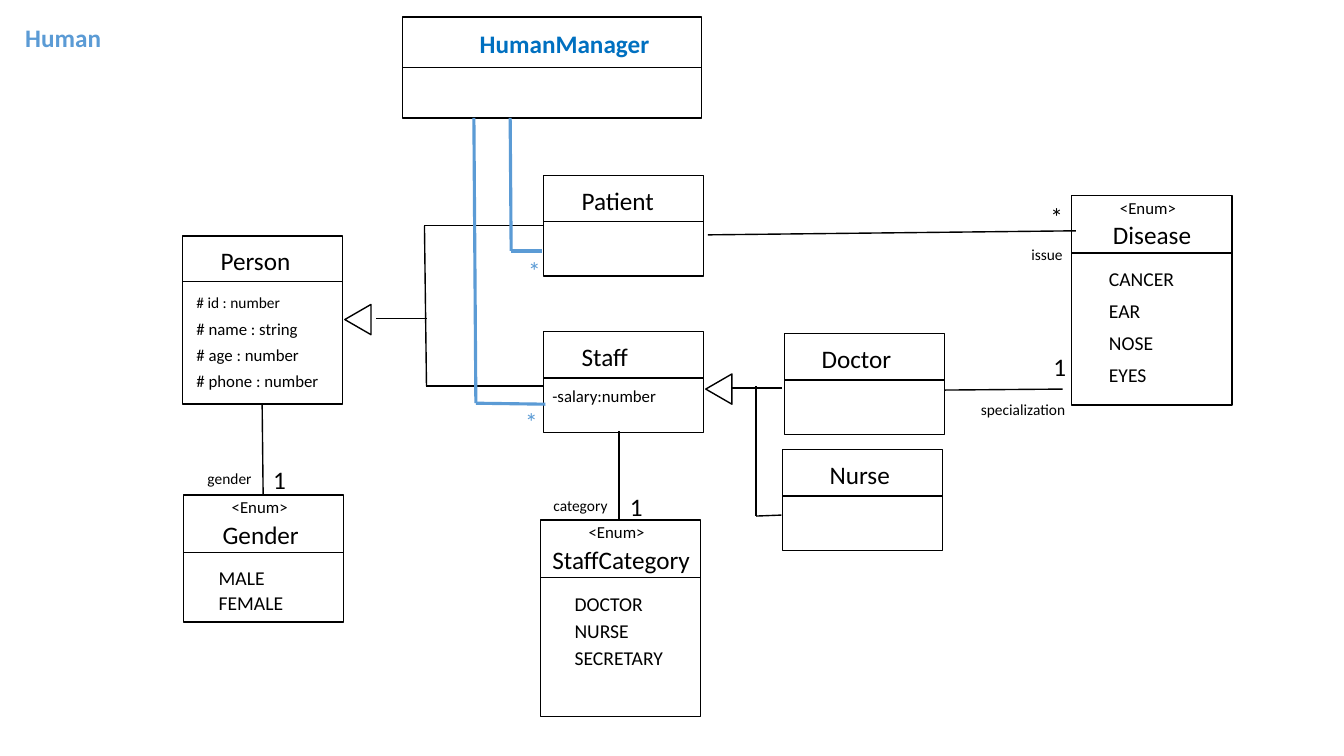
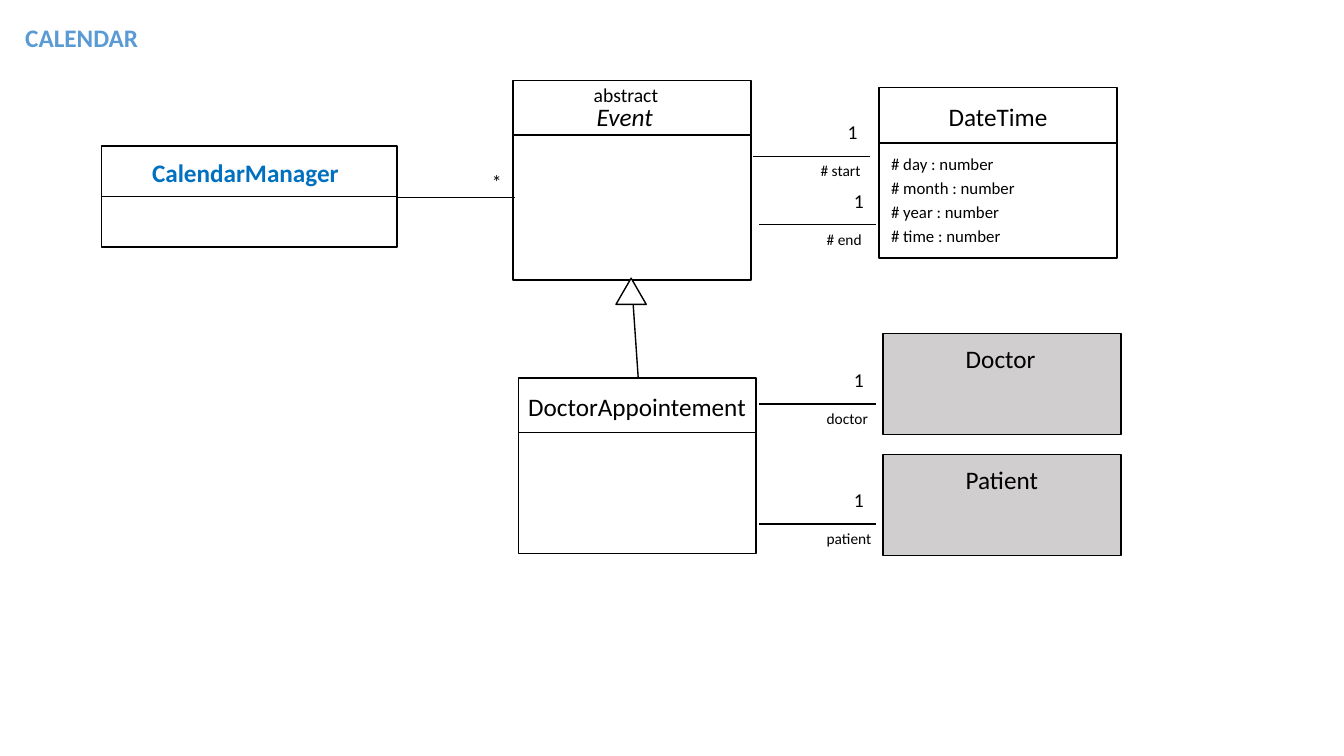
from dataclasses import dataclass
from itertools import pairwise

from lxml.etree import SubElement
from pptx import Presentation
from pptx.dml.color import RGBColor
from pptx.enum.shapes import MSO_CONNECTOR, MSO_SHAPE
from pptx.enum.text import MSO_ANCHOR, MSO_AUTO_SIZE, PP_ALIGN
from pptx.oxml.ns import qn
from pptx.util import Inches, Pt

FONT = "Calibri"
BLACK, WHITE, GREY = "000000", "FFFFFF", "D0CECE"
ACCENT, MANAGER = "5B9BD5", "0070C0"
LINE_HEIGHT = 1.22
NAME_SIZE = 18


@dataclass
class Members:
    rows: list
    left: float
    top: float
    width: float
    pitch: float = 0.26
    size: int = 12
    first_size: int = 0


@dataclass
class ClassBox:
    name: str
    box: tuple
    name_left: float
    name_width: float
    divider: float = 0.46
    stereotype: tuple = ()
    members: Members = None
    color: str = BLACK
    italic: bool = False
    external: bool = False


@dataclass
class Label:
    text: str
    left: float
    top: float
    width: float = 0.33
    size: int = NAME_SIZE
    color: str = BLACK


ENUM = ("<Enum>", 0.38, 0.76, 12)

HUMAN = {
    "title": ("Human", 0.96),
    "classes": [
        ClassBox("Person", (1.81, 2.34, 1.59, 1.67), 2.09, 0.9, 0.45, members=Members(
            ["# id : number", "# name : string", "# age : number", "# phone : number"],
            1.85, 2.86, 1.42, first_size=11)),
        ClassBox("Patient", (5.39, 1.74, 1.59, 1), 5.67, 0.93),
        ClassBox("Staff", (5.39, 3.29, 1.59, 1), 5.67, 0.67,
                 members=Members(["-salary:number"], 5.38, 3.78, 1.24)),
        ClassBox("Doctor", (7.78, 3.31, 1.59, 1), 8.05, 0.91),
        ClassBox("Nurse", (7.76, 4.46, 1.59, 1), 8.13, 0.81),
        ClassBox("Disease", (10.63, 1.94, 1.59, 2.08), 10.94, 0.99, 0.57, ENUM, Members(
            ["CANCER", "EAR", "NOSE", "EYES"], 10.9, 2.6, 0.86, 0.32, 14)),
        ClassBox("Gender", (1.82, 4.91, 1.59, 1.26), 2.11, 0.97, 0.57, ENUM, Members(
            ["MALE", "FEMALE"], 2.07, 5.57, 0.85, 0.25, 14)),
        ClassBox("StaffCategory", (5.36, 5.16, 1.59, 1.95), 5.38, 1.58, 0.57, ENUM, Members(
            ["DOCTOR", "NURSE", "SECRETARY"], 5.6, 5.82, 1.09, 0.27, 14)),
        ClassBox("HumanManager", (3.99, 0.17, 2.97, 1), 4.66, 1.9, 0.5, color=MANAGER),
    ],
    "links": [
        [(7.02, 2.33), (10.67, 2.29)],
        [(9.37, 3.87), (10.54, 3.86)],
        [(2.6, 4.02), (2.61, 4.91)],
        [(6.14, 4.28), (6.14, 5.16)],
        [(3.73, 3.16), (4.24, 3.16)],
        [(5.39, 2.24), (4.21, 2.24), (4.23, 3.83), (5.39, 3.83)],
        [(7.25, 3.85), (7.76, 3.85)],
        [(7.5, 3.83), (7.5, 5.12), (7.75, 5.11)],
    ],
    "manager_links": [
        [(5.06, 1.17), (5.07, 2.49), (5.38, 2.49)],
        [(4.7, 1.17), (4.72, 4), (5.41, 4.01)],
    ],
    "inheritance": [(3.4, 3.04, 270), (6.98, 3.73, 270)],
    "labels": [
        Label("*", 10.32, 1.95),
        Label("issue", 10.13, 2.38, 0.51, 11),
        Label("1", 10.35, 3.44),
        Label("specialization", 9.63, 3.92, 1.05, 11),
        Label("1", 2.61, 4.56),
        Label("gender", 1.96, 4.6, 0.64, 11),
        Label("1", 6.15, 4.82),
        Label("category", 5.39, 4.87, 0.75, 11),
        Label("*", 5.14, 2.48, color=ACCENT),
        Label("*", 5.11, 3.98, color=ACCENT),
    ],
    "roles": [],
}

CALENDAR = {
    "title": ("CALENDAR", 1.33),
    "classes": [
        ClassBox("Event", (5.09, 0.8, 2.36, 1.98), 5.82, 0.77, 0.54,
                 ("abstract", 0.7, 0.85, 14), italic=True),
        ClassBox("CalendarManager", (1.01, 1.45, 2.93, 1), 1.41, 2.07, 0.5, color=MANAGER),
        ClassBox("DateTime", (8.72, 0.87, 2.36, 1.69), 9.31, 1.19, 0.55, members=Members(
            ["# day : number", "# month : number", "# year : number", "# time : number"],
            8.74, 1.48, 1.44, 0.24)),
        ClassBox("DoctorAppointement", (5.14, 3.75, 2.36, 1.74), 5.14, 2.39, 0.54),
        ClassBox("Doctor", (8.76, 3.31, 2.36, 1), 9.48, 0.91, external=True),
        ClassBox("Patient", (8.76, 4.51, 2.36, 1), 9.48, 0.93, external=True),
    ],
    "links": [[(3.95, 1.96), (5.11, 1.96)], [(6.28, 3.02), (6.33, 3.75)]],
    "manager_links": [],
    "inheritance": [(6.11, 2.76, 0)],
    "labels": [Label("*", 4.78, 1.64, 0.3, 14)],
    "roles": [
        ("# start", 7.47, 1.55, 0.6),
        ("# end", 7.53, 2.23, 0.55),
        ("doctor", 7.53, 4.01, 0.61),
        ("patient", 7.53, 5.2, 0.65),
    ],
}


def rgb(value):
    return RGBColor.from_string(value)


def text_height(size):
    return LINE_HEIGHT * size / 72 + 0.1


def set_font(paragraph, size, color=BLACK, bold=False, italic=False):
    font = paragraph.font
    font.name, font.size, font.bold, font.italic = FONT, Pt(size), bold, italic
    font.color.rgb = rgb(color)


def add_title(slide, text, width):
    title = slide.shapes.title
    title.left, title.top = Inches(0.15), Inches(0.17)
    title.width, title.height = Inches(width), Inches(0.4)
    frame = title.text_frame
    frame.text = text
    frame.word_wrap = False
    frame.auto_size = MSO_AUTO_SIZE.SHAPE_TO_FIT_TEXT
    frame.vertical_anchor = MSO_ANCHOR.TOP
    frame.paragraphs[0].alignment = PP_ALIGN.LEFT
    set_font(frame.paragraphs[0], NAME_SIZE, ACCENT, bold=True)


def add_text(slide, text, left, top, width, size, height=None, **style):
    box = slide.shapes.add_textbox(Inches(left), Inches(top), Inches(width),
                                   Inches(height or text_height(size)))
    frame = box.text_frame
    frame.text = text
    frame.word_wrap = False
    frame.auto_size = MSO_AUTO_SIZE.SHAPE_TO_FIT_TEXT
    for paragraph in frame.paragraphs:
        set_font(paragraph, size, **style)
    return frame


def add_members(slide, members):
    rows, size = members.rows, members.size
    height = text_height(size) + (len(rows) - 1) * members.pitch
    frame = add_text(slide, "\n".join(rows), members.left, members.top,
                     members.width, size, height)
    if members.first_size:
        frame.paragraphs[0].font.size = Pt(members.first_size)
    for paragraph in frame.paragraphs[:-1]:
        natural = LINE_HEIGHT * paragraph.font.size.pt
        paragraph.space_after = Pt(round(members.pitch * 72 - natural, 1))


def add_outline(slide, preset, left, top, width, height, fill=WHITE):
    outline = slide.shapes.add_shape(preset, Inches(left), Inches(top),
                                     Inches(width), Inches(height))
    outline.shadow.inherit = False
    outline.fill.solid()
    outline.fill.fore_color.rgb = rgb(fill)
    outline.line.color.rgb = rgb(BLACK)
    outline.line.width = Pt(1)
    return outline


def add_link(slide, points, color=BLACK, weight=1):
    for start, end in pairwise(points):
        ends = [Inches(value) for value in (*start, *end)]
        link = slide.shapes.add_connector(MSO_CONNECTOR.STRAIGHT, *ends)
        link.line.color.rgb = rgb(color)
        link.line.width = Pt(weight)
        SubElement(link._element.spPr, qn("a:effectLst"))


def add_class(slide, item):
    left, top, width, height = item.box
    add_outline(slide, MSO_SHAPE.RECTANGLE, *item.box, GREY if item.external else WHITE)
    if not item.external:
        divider = top + item.divider
        add_link(slide, [(left, divider), (left + width, divider)])
    spare = item.divider - 0.4
    name_top = top + (spare + 0.02 if item.stereotype else spare / 2 + 0.015)
    add_text(slide, item.name, item.name_left, name_top, item.name_width, NAME_SIZE,
             color=item.color, bold=item.color == MANAGER, italic=item.italic)
    if item.stereotype:
        keyword, indent, keyword_width, size = item.stereotype
        add_text(slide, keyword, left + indent, top - 0.03, keyword_width, size)
    if item.members:
        add_members(slide, item.members)


def add_role(slide, role, left, top, width):
    add_link(slide, [(left, top), (left + 1.16, top)])
    add_text(slide, "1", left + 0.84, top - 0.41, 0.3, 14)
    add_text(slide, role, left + 0.57, top, width, 11)


def add_diagram(deck, diagram):
    slide = deck.slides.add_slide(deck.slide_layouts[5])
    add_title(slide, *diagram["title"])
    for item in diagram["classes"]:
        add_class(slide, item)
    for points in diagram["links"]:
        add_link(slide, points)
    for points in diagram["manager_links"]:
        add_link(slide, points, ACCENT, 2.25)
    for left, top, angle in diagram["inheritance"]:
        add_outline(slide, MSO_SHAPE.ISOSCELES_TRIANGLE, left, top, 0.3, 0.26).rotation = angle
    for role in diagram["roles"]:
        add_role(slide, *role)
    for label in diagram["labels"]:
        add_text(slide, label.text, label.left, label.top, label.width, label.size,
                 color=label.color)


def main():
    deck = Presentation()
    deck.slide_width, deck.slide_height = Inches(13.33), Inches(7.5)
    for diagram in (HUMAN, CALENDAR):
        add_diagram(deck, diagram)
    deck.save("out.pptx")


if __name__ == "__main__":
    main()
